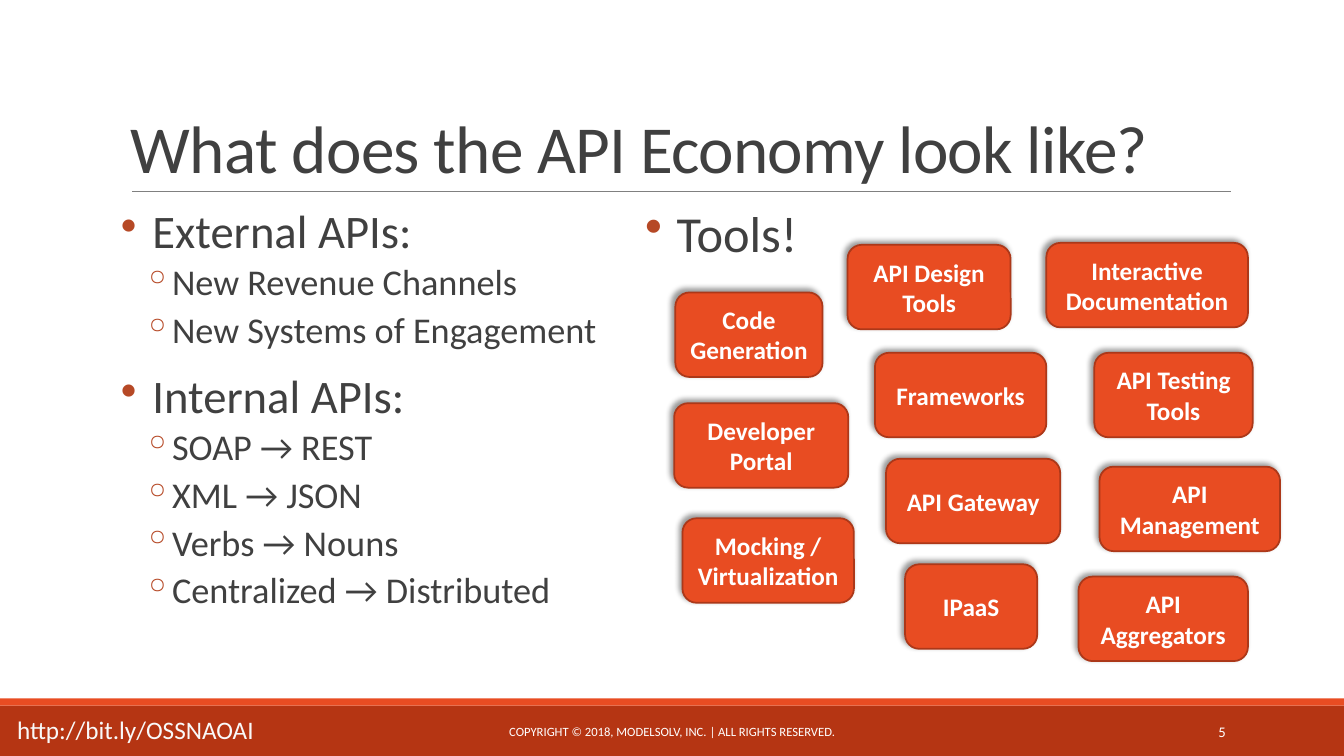
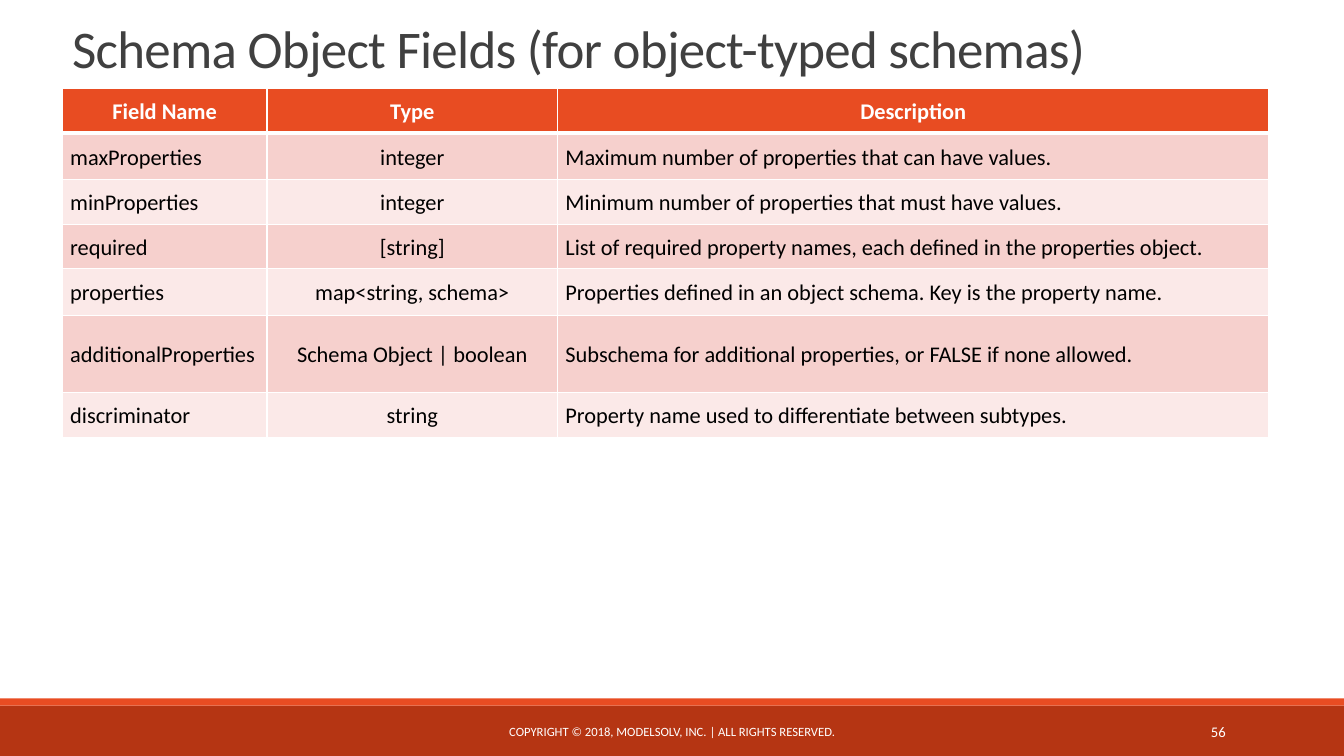
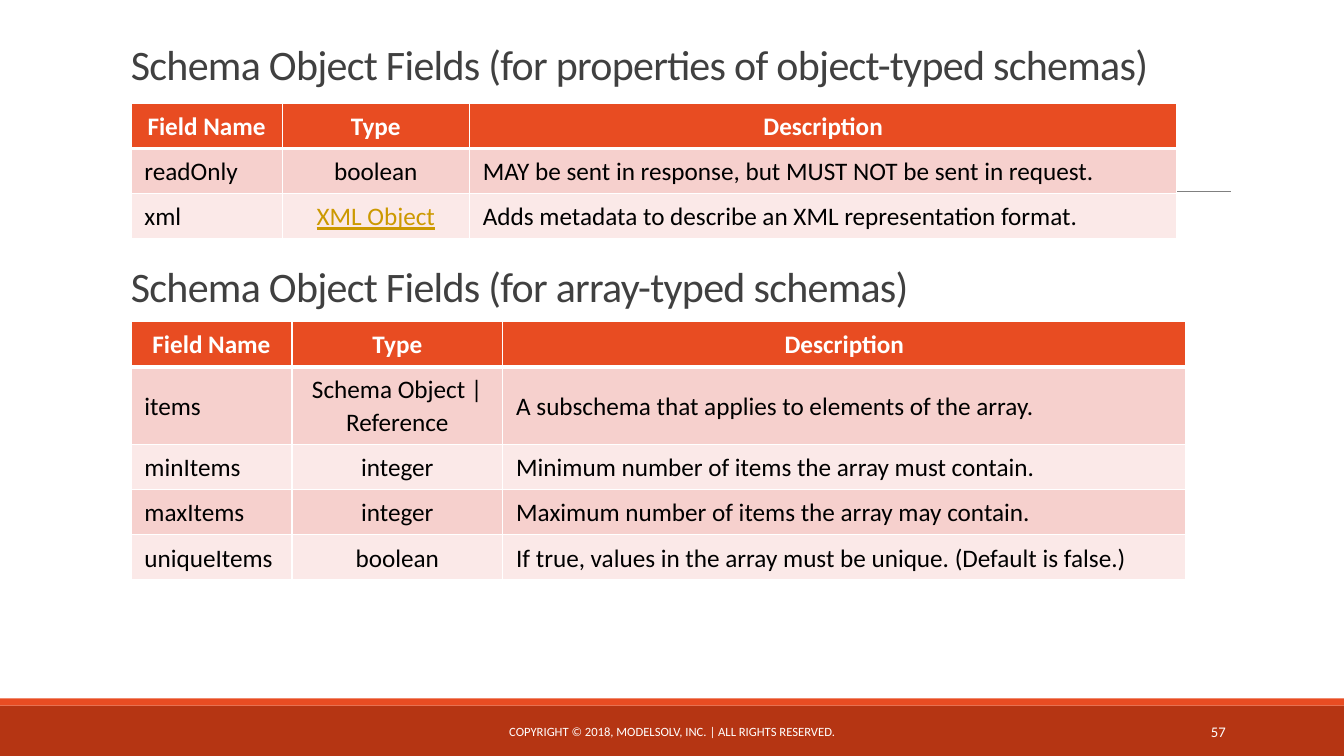
from lxml import etree
from pptx import Presentation
from pptx.dml.color import RGBColor
from pptx.enum.shapes import MSO_CONNECTOR, MSO_SHAPE
from pptx.enum.text import MSO_ANCHOR, PP_ALIGN
from pptx.oxml.ns import qn
from pptx.util import Cm, Pt

RECT, ROUNDED = MSO_SHAPE.RECTANGLE, MSO_SHAPE.ROUNDED_RECTANGLE
STRAIGHT = MSO_CONNECTOR.STRAIGHT
TOP, MIDDLE, BOTTOM = MSO_ANCHOR.TOP, MSO_ANCHOR.MIDDLE, MSO_ANCHOR.BOTTOM
LEFT, CENTER, RIGHT = PP_ALIGN.LEFT, PP_ALIGN.CENTER, PP_ALIGN.RIGHT

FONT = "Calibri"
ORANGE, RUST, EDGE, BULLET = "E84C22", "B53513", "AC3819", "B64926"
WHITE, BLACK, INK, GREY, GOLD = "FFFFFF", "000000", "404040", "808080", "CC9900"
PALE = "F9F9F9"
ROW_FILLS = ("F6D0CD", "FBE9E8")
HEADER = ("Field Name", "Type", "Description")
COPYRIGHT = "COPYRIGHT © 2018, MODELSOLV, INC. | ALL RIGHTS RESERVED."
SLIDE_W, SLIDE_H = 33.87, 19.05
TOOL_H = 2.13

LEVELS = (
    dict(char="•", margin=0.79, hang=0.79, before=12, after=2),
    dict(char="◦", margin=1.07, hang=0.51, before=2, after=4),
)

API_POINTS = [
    (0, "External APIs:"),
    (1, "New Revenue Channels"),
    (1, "New Systems of Engagement"),
    (0, "Internal APIs:"),
    (1, "SOAP → REST"),
    (1, "XML → JSON"),
    (1, "Verbs → Nouns"),
    (1, "Centralized → Distributed"),
]

TOOLS = [
    ("Interactive Documentation", 26.37, 6.12, 5.08),
    ("Code Generation", 17.02, 7.37, 3.71),
    ("API Testing Tools", 27.58, 8.89, 3.99),
    ("API Management", 27.71, 11.76, 4.55),
    ("API Gateway", 22.33, 11.56, 4.39),
    ("Developer Portal", 16.99, 10.16, 4.39),
    ("API Design Tools", 21.36, 6.17, 4.11),
    ("Frameworks", 22.05, 8.89, 4.32),
    ("IPaaS", 22.81, 14.22, 3.33),
    ("Mocking / Virtualization", 17.2, 13.06, 4.32),
    ("API Aggregators", 27.18, 14.53, 4.27),
]

OBJECT_FIELDS = [
    ("maxProperties", "integer", "Maximum number of properties that can have values."),
    ("minProperties", "integer", "Minimum number of properties that must have values."),
    ("required", "[string]",
     "List of required property names, each defined in the properties object."),
    ("properties", "map<string, schema>",
     "Properties defined in an object schema. Key is the property name."),
    ("additionalProperties", "Schema Object | boolean",
     "Subschema for additional properties, or FALSE if none allowed."),
    ("discriminator", "string", "Property name used to differentiate between subtypes."),
]

PROPERTY_FIELDS = [
    ("readOnly", "boolean", "MAY be sent in response, but MUST NOT be sent in request."),
    ("xml", "XML Object", "Adds metadata to describe an XML representation format."),
]

ARRAY_FIELDS = [
    ("items", "Schema Object | Reference", "A subschema that applies to elements of the array."),
    ("minItems", "integer", "Minimum number of items the array must contain."),
    ("maxItems", "integer", "Maximum number of items the array may contain."),
    ("uniqueItems", "boolean",
     "If true, values in the array must be unique. (Default is false.)"),
]


def rgb(value):
    """Turn a hex string into a colour."""
    return RGBColor.from_string(value)


def set_attrs(obj, values):
    """Set each attribute of an object from a dict."""
    for name, value in values.items():
        setattr(obj, name, value)


def sub(parent, tag, **attrs):
    """Append a drawing element with attributes."""
    el = etree.SubElement(parent, qn(tag))
    for name, value in attrs.items():
        el.set(name, str(value))
    return el


def add_run(p, text, size, color, spacing=0, **fmt):
    """Add a formatted run to a paragraph."""
    r = p.add_run()
    r.text = text
    set_attrs(r.font, dict(name=FONT, size=Pt(size), **fmt))
    r.font.color.rgb = rgb(color)
    if spacing:
        r.font._element.set("spc", str(int(spacing * 100)))


def add_box(s, x, y, w, h, anchor=TOP, wrap=True):
    """Add an empty text box and return its text frame."""
    tf = s.shapes.add_textbox(Cm(x), Cm(y), Cm(w), Cm(h)).text_frame
    set_attrs(tf, dict(word_wrap=wrap, vertical_anchor=anchor))
    return tf


def add_label(s, text, x, y, w, h, size, color, align=LEFT, anchor=MIDDLE, wrap=True, **fmt):
    """Add a one-paragraph text box."""
    p = add_box(s, x, y, w, h, anchor, wrap).paragraphs[0]
    p.alignment = align
    add_run(p, text, size, color, **fmt)


def add_title(s, text, size, x=3.05, y=0.79, w=27.94, h=1.57):
    """Add a heading that sits on the bottom of its box."""
    add_label(s, text, x, y, w, h, size, INK, anchor=BOTTOM, spacing=-0.5)


def add_bullets(s, items, x, sizes):
    """Add a two-level bullet list."""
    tf = add_box(s, x, 5.13, 13.89, 11.18)
    set_attrs(tf, dict(margin_left=0, margin_right=0))
    for i, (level, text) in enumerate(items):
        p = tf.add_paragraph() if i else tf.paragraphs[0]
        style = LEVELS[level]
        pPr = p._p.get_or_add_pPr()
        pPr.set("marL", str(Cm(style["margin"])))
        pPr.set("indent", str(-Cm(style["hang"])))
        sub(sub(pPr, "a:buClr"), "a:srgbClr", val=BULLET)
        sub(pPr, "a:buChar", char=style["char"])
        set_attrs(p, dict(level=level, line_spacing=0.9, space_after=Pt(style["after"]),
                          space_before=Pt(style["before"] if i else 0)))
        add_run(p, text, sizes[level], INK)


def add_block(s, kind, x, y, w, h, fill):
    """Add a filled shape without line or shadow."""
    sp = s.shapes.add_shape(kind, Cm(x), Cm(y), Cm(w), Cm(h))
    sp.shadow.inherit = False
    sp.fill.solid()
    sp.fill.fore_color.rgb = rgb(fill)
    sp.line.fill.background()
    return sp


def add_tool(s, text, x, y, w):
    """Add a rounded tool button with a soft shadow."""
    sp = add_block(s, ROUNDED, x, y, w, TOOL_H, ORANGE)
    sp.line.color.rgb = rgb(EDGE)
    sp.line.width = Pt(1.25)
    shadow = sub(sp._element.spPr.find(qn("a:effectLst")), "a:outerShdw", blurRad=Pt(4),
                 dist=Pt(3), dir=225 * 60000, algn="br", rotWithShape=0)
    sub(sub(shadow, "a:srgbClr", val=BLACK), "a:alpha", val=40000)
    tf = sp.text_frame
    set_attrs(tf, dict(word_wrap=True, vertical_anchor=MIDDLE))
    tf.paragraphs[0].alignment = CENTER
    add_run(tf.paragraphs[0], text, 18, WHITE, bold=True)


def add_rule(s):
    """Add the thin line under the title area."""
    line = s.shapes.add_connector(STRAIGHT, Cm(3.33), Cm(4.83), Cm(31.01), Cm(4.83))
    line.line.color.rgb = rgb(GREY)
    line.line.width = Pt(0.5)
    sub(line._element.spPr, "a:effectLst")


def add_borders(cell, row):
    """Draw white cell borders, thicker under the header row."""
    widths = dict(L=1, R=1, T=3 if row == 1 else 1, B=1 if row else 3)
    for side, width in widths.items():
        ln = sub(cell._tc.get_or_add_tcPr(), "a:ln" + side, w=Pt(width))
        sub(sub(ln, "a:solidFill"), "a:srgbClr", val=WHITE)


def add_fields(s, fields, x, y, cols, rows, size, inset, links=()):
    """Add a table of schema fields under the shared header."""
    frame = s.shapes.add_table(len(rows), len(cols), Cm(x), Cm(y), Cm(sum(cols)), Cm(sum(rows)))
    table = frame.table
    table.horz_banding = False
    for col, width in zip(table.columns, cols):
        col.width = Cm(width)
    for row, height in zip(table.rows, rows):
        row.height = Cm(height)
    side, edge = Cm(inset[0]), Cm(inset[1])
    for i, texts in enumerate([HEADER, *fields]):
        for j, text in enumerate(texts):
            cell = table.cell(i, j)
            set_attrs(cell, dict(margin_left=side, margin_right=side, margin_top=edge,
                                 margin_bottom=edge, vertical_anchor=MIDDLE))
            add_borders(cell, i)
            cell.fill.solid()
            cell.fill.fore_color.rgb = rgb(ROW_FILLS[(i - 1) % 2] if i else ORANGE)
            p = cell.text_frame.paragraphs[0]
            set_attrs(p, dict(alignment=CENTER if i == 0 or j == 1 else LEFT, line_spacing=1.07))
            link = text in links
            color = GOLD if link else BLACK if i else WHITE
            add_run(p, text, size, color, bold=i == 0, underline=link)


def add_slide(prs, number):
    """Add a blank slide with the shared bands and footer."""
    s = prs.slides.add_slide(prs.slide_layouts[6])
    add_block(s, RECT, 0, 17.78, SLIDE_W, 1.27, RUST)
    add_block(s, RECT, 0, 17.6, SLIDE_W, 0.18, ORANGE)
    add_label(s, COPYRIGHT, 10.24, 17.93, 13.39, 1.02, 9, WHITE, CENTER)
    add_label(s, str(number), 27.51, 17.93, 3.63, 1.02, 10.5, WHITE, RIGHT)
    return s


def build_economy(prs):
    """Build the API economy slide."""
    s = add_slide(prs, 5)
    add_rule(s)
    add_title(s, "What does the API Economy look like?", 48, h=4.04)
    add_bullets(s, API_POINTS, 3.05, (33.3, 25.9))
    add_bullets(s, [(0, "Tools!")], 16.26, (36,))
    for tool in TOOLS:
        add_tool(s, *tool)
    add_label(s, "http://bit.ly/OSSNAOAI", 0.18, 17.88, 6.55, 1.02, 18, PALE,
              anchor=TOP, wrap=False)


def build_object_fields(prs):
    """Build the slide on object-typed schemas."""
    s = add_slide(prs, 56)
    add_title(s, "Schema Object Fields (for object-typed schemas)", 37.8, x=1.57, w=29.41, h=1.32)
    add_fields(s, OBJECT_FIELDS, 1.57, 2.24, (5.16, 7.32, 17.93),
               (1.12, 1.17, 1.12, 1.12, 1.17, 1.96, 1.12), 16, (0.2, 0.1))


def build_property_and_array_fields(prs):
    """Build the slide on object properties and arrays."""
    s = add_slide(prs, 57)
    add_rule(s)
    add_title(s, "Schema Object Fields (for properties of object-typed schemas)", 30)
    add_fields(s, PROPERTY_FIELDS, 3.3, 2.6, (3.81, 4.72, 17.83), (1.14,) * 3,
               18, (0.34, 0.15), links=("XML Object",))
    add_title(s, "Schema Object Fields (for array-typed schemas)", 30, y=6.38)
    add_fields(s, ARRAY_FIELDS, 3.3, 8.1, (4.06, 5.31, 17.22),
               (1.14, 1.96, 1.14, 1.14, 1.14), 18, (0.34, 0.15))


def main():
    """Build and save the presentation."""
    prs = Presentation()
    set_attrs(prs, dict(slide_width=Cm(SLIDE_W), slide_height=Cm(SLIDE_H)))
    build_economy(prs)
    build_object_fields(prs)
    build_property_and_array_fields(prs)
    prs.save("out.pptx")


if __name__ == "__main__":
    main()
